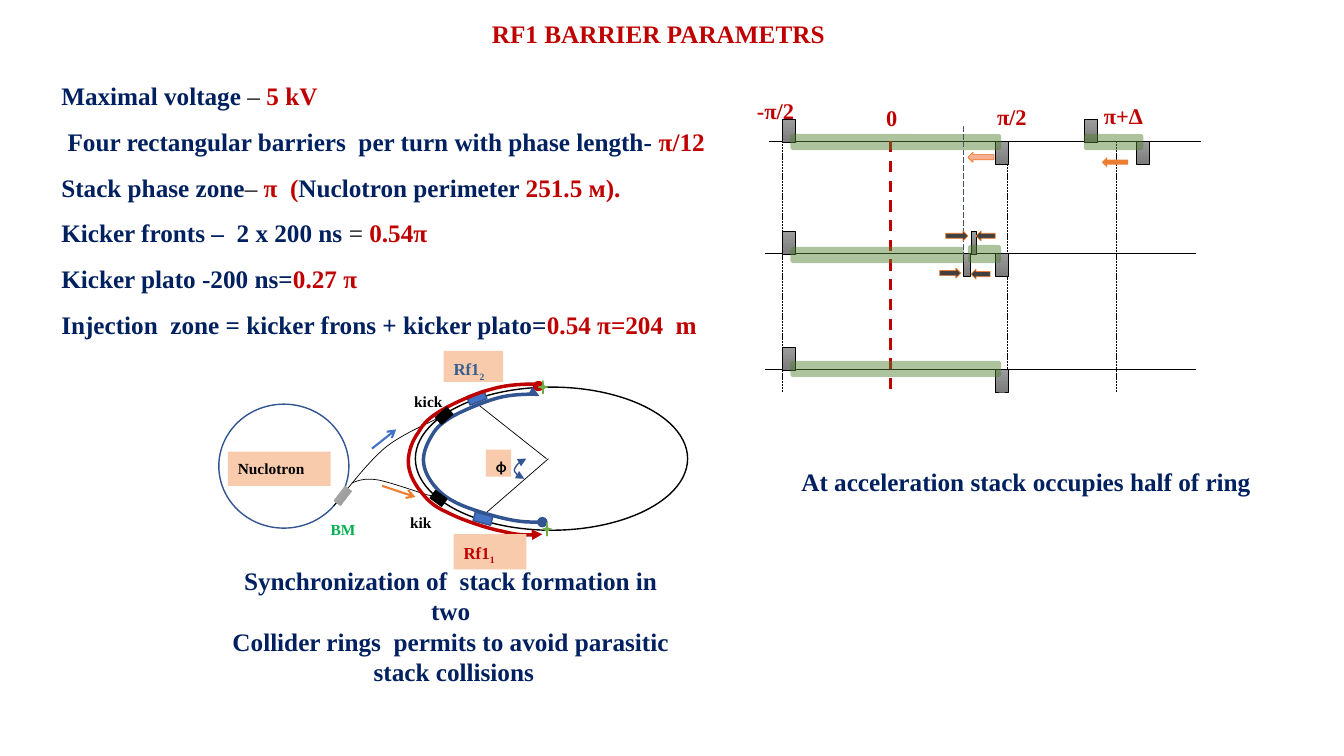
"""Build the RF1 barrier parameters slide with its phase diagram and ring scheme."""
from lxml.etree import SubElement
from pptx import Presentation
from pptx.dml.color import RGBColor
from pptx.enum.dml import MSO_LINE
from pptx.enum.shapes import MSO_CONNECTOR, MSO_SHAPE
from pptx.enum.text import MSO_ANCHOR, PP_ALIGN
from pptx.oxml.ns import qn
from pptx.util import Inches, Pt

RED = RGBColor(0xC0, 0x00, 0x00)
NAVY = RGBColor(0x00, 0x20, 0x60)
BLACK = RGBColor(0x00, 0x00, 0x00)
BLUE = RGBColor(0x44, 0x72, 0xC4)
DEEP_BLUE = RGBColor(0x32, 0x54, 0x91)
LABEL_BLUE = RGBColor(0x36, 0x5F, 0x91)
ORANGE = RGBColor(0xED, 0x7D, 0x31)
PEACH = RGBColor(0xF8, 0xCB, 0xAD)
DARK = RGBColor(0x40, 0x40, 0x40)
SLATE = RGBColor(0x44, 0x54, 0x6A)
MOSS = RGBColor(0x54, 0x82, 0x35)
GREEN = RGBColor(0x00, 0xB0, 0x50)
LEAF = RGBColor(0x70, 0xAD, 0x47)
SILVER = RGBColor(0xA5, 0xA5, 0xA5)
GRAY_FADE = (RGBColor(0x9D, 0x9D, 0x9D), RGBColor(0x7C, 0x7C, 0x7C))
SILVER_FADE = (RGBColor(0xAF, 0xAF, 0xAF), RGBColor(0x93, 0x93, 0x93))
PEACH_FADE = (RGBColor(0xF7, 0xBD, 0xA5), RGBColor(0xF8, 0xA5, 0x82))
LEAF_FADE = (RGBColor(0x81, 0xB8, 0x61), RGBColor(0x62, 0xA3, 0x36))
SERIF = "Times New Roman"

TITLE = [[("RF1 BARRIER PARAMETRS", RED)]]
PARAMETERS = [
    [("Maximal voltage ", NAVY), ("– ", BLACK), ("5 kV", RED)],
    [(" Four rectangular barriers  per turn with phase length- ", NAVY), ("π/12", RED)],
    [("Stack phase zone", NAVY), ("– ", BLACK), ("π  (", RED),
     ("Nuclotron perimeter ", NAVY), ("251.5 м).", RED)],
    [("Kicker fronts –  2 x 200 ns ", NAVY), ("= ", BLACK), ("0.54π", RED)],
    [("Kicker plato -200 ns=", NAVY), ("0.27 π", RED)],
    [("Injection  zone = kicker frons + kicker plato=", NAVY), ("0.54 π=204  m", RED)],
]
SYNCHRONIZATION = [
    [("Synchronization of  stack formation in two", NAVY)],
    [("Collider rings  permits to avoid parasitic  stack collisions", NAVY)],
]
ACCELERATION = [[("At acceleration stack occupies half of ring", NAVY)]]

AXES = [(7.63, 11.91, 1.4), (7.59, 11.86, 2.51), (7.59, 11.86, 3.66)]
PHASE_MARKS = [(8.83, RED, 2, MSO_LINE.DASH)] + [
    (x, BLACK, 0.5, MSO_LINE.SQUARE_DOT) for x in (9.99, 11.07, 7.76)]
PHASE_LABELS = [("0", 8.69, 0.94, 0.29), ("-π/2", 7.41, 0.87, 0.67),
                ("π/2", 9.79, 0.93, 0.58), ("π+Δ", 10.85, 0.92, 0.62)]
BARRIERS = [
    (0, 7.76, 0.13, "up"), (0, 9.87, 0.13, "down"),
    (0, 10.75, 0.13, "up"), (0, 11.27, 0.13, "down"),
    (1, 9.55, 0.07, "down"), (1, 7.76, 0.13, "up"),
    (1, 9.63, 0.05, "up"), (1, 9.87, 0.13, "down"),
    (2, 7.76, 0.13, "up"), (2, 9.87, 0.13, "down"),
]
BARRIER_HEIGHT = 0.23
STACKS = [(7.84, 1.33, 2.09, 0.16), (10.75, 1.33, 0.59, 0.16), (9.6, 2.43, 0.33, 0.18),
          (7.84, 2.45, 1.72, 0.16), (7.84, 3.58, 2.09, 0.16)]
SHIFT_ARROWS = [
    (MSO_SHAPE.LEFT_ARROW, 10.93, 1.56, 0.26, ORANGE, None),
    (MSO_SHAPE.LEFT_ARROW, 9.6, 1.51, 0.26, PEACH_FADE, ORANGE),
    (MSO_SHAPE.RIGHT_ARROW, 9.38, 2.29, 0.22, DARK, ORANGE),
    (MSO_SHAPE.RIGHT_ARROW, 9.32, 2.66, 0.21, DARK, ORANGE),
    (MSO_SHAPE.LEFT_ARROW, 9.68, 2.29, 0.19, DARK, ORANGE),
    (MSO_SHAPE.LEFT_ARROW, 9.63, 2.67, 0.19, DARK, ORANGE),
]

RINGS = [(2.17, 4.01, 1.29, 1.23, DEEP_BLUE), (4.12, 3.84, 2.7, 1.42, BLACK)]
CAVITIES = [(4.7, 5.1, 14.8), (4.64, 3.9, 339.3)]
CHANNELS = [
    [(3.31, 5.02), (3.48, 4.81), (3.64, 4.6), (3.81, 4.45), (3.98, 4.31), (4.23, 4.21),
     (4.32, 4.16), (4.41, 4.11), (4.36, 4.15), (4.37, 4.14), (4.39, 4.14), (4.39, 4.13),
     (4.4, 4.13)],
    [(3.49, 4.79), (3.55, 4.77), (3.61, 4.74), (3.74, 4.76), (3.86, 4.78), (4.14, 4.88),
     (4.24, 4.91), (4.34, 4.93), (4.32, 4.93), (4.31, 4.92)],
]
RING_LINES = [
    ((3.79, 4.82), (4.12, 4.93), ORANGE, 1.5, "arrow"),
    ((3.69, 4.45), (3.93, 4.26), BLUE, 1.5, "arrow"),
    ((5.44, 4.55), (4.83, 5.08), BLACK, 0.5, None),
    ((5.42, 4.55), (4.75, 4.02), BLACK, 0.5, None),
]
ANGLE_ARC = [(5.2, 4.75), (5.17, 4.74), (5.14, 4.73), (5.13, 4.71), (5.11, 4.69),
             (5.09, 4.67), (5.11, 4.64), (5.12, 4.61), (5.19, 4.56), (5.21, 4.55),
             (5.23, 4.53), (5.22, 4.54), (5.22, 4.55)]
INNER_STACK = [
    (5.38, 5.18), (5.28, 5.18), (5.17, 5.18), (5.03, 5.15), (4.89, 5.12), (4.65, 5.05),
    (4.53, 4.99), (4.41, 4.93), (4.36, 4.88), (4.3, 4.81), (4.24, 4.73), (4.2, 4.65),
    (4.2, 4.56), (4.2, 4.48), (4.24, 4.39), (4.29, 4.31), (4.33, 4.24), (4.39, 4.19),
    (4.49, 4.13), (4.6, 4.07), (4.79, 3.99), (4.93, 3.95), (5.07, 3.91), (5.27, 3.91),
    (5.34, 3.91), (5.4, 3.9), (5.38, 3.92), (5.35, 3.93)]
OUTER_STACK = [
    (5.38, 5.3), (5.26, 5.31), (5.14, 5.31), (4.98, 5.27), (4.82, 5.24), (4.56, 5.15),
    (4.43, 5.08), (4.29, 5.02), (4.23, 4.95), (4.16, 4.86), (4.1, 4.78), (4.05, 4.68),
    (4.05, 4.58), (4.05, 4.48), (4.09, 4.37), (4.15, 4.29), (4.2, 4.2), (4.26, 4.14),
    (4.38, 4.07), (4.5, 4), (4.72, 3.9), (4.88, 3.86), (5.04, 3.81), (5.25, 3.81),
    (5.33, 3.81), (5.41, 3.8), (5.37, 3.82), (5.34, 3.83)]
CURVES = [(points, BLACK, 0.5, None, None) for points in CHANNELS] + [
    (ANGLE_ARC, DEEP_BLUE, 1, "triangle", "triangle"),
    (INNER_STACK, DEEP_BLUE, 2.5, "oval", "triangle"),
    (OUTER_STACK, RED, 2.5, "triangle", "oval"),
]
RING_LABELS = [
    ("Rf1", "2", 4.4, 3.48, 0.59, 0.31, 12, LABEL_BLUE, SERIF, PEACH),
    ("Rf1", "1", 4.5, 5.3, 0.72, 0.35, 12, RED, SERIF, PEACH),
    ("ϕ", "", 4.82, 4.46, 0.25, 0.27, 11, BLACK, "Calibri", PEACH),
    ("Nuclotron", "", 2.26, 4.48, 1.02, 0.34, 11, BLACK, SERIF, PEACH),
    ("ВМ", "", 3.18, 5.08, 0.46, 0.32, 11, GREEN, SERIF, None),
    ("kick", "", 4.01, 3.81, 0.56, 0.32, 11, BLACK, SERIF, None),
    ("kik", "", 3.97, 5.01, 0.53, 0.32, 11, BLACK, SERIF, None),
]
STARS = [(5.38, 5.18), (5.34, 3.77)]
MAGNETS = [(3.31, 4.88, 0.18, 0.08, 307.5, SILVER_FADE, SILVER, 0.5),
           (4.33, 4.08, 0.15, 0.09, 318.4, BLACK, BLACK, 1),
           (4.28, 4.9, 0.14, 0.09, 36.3, BLACK, BLACK, 1)]


def set_line(line, color, width, dash=None, head=None, tail=None):
    line.color.rgb = color
    for name, value in {"width": Pt(width), "dash_style": dash}.items():
        setattr(line, name, value)
    for tag, end in (("a:headEnd", head), ("a:tailEnd", tail)):
        if end:
            SubElement(line._get_or_add_ln(), qn(tag)).set("type", end)


def add_form(page, kind, place, fill=None, color=None, width=0.5, turn=0):
    form = page.shapes.add_shape(kind, *map(Inches, place))
    form.shadow.inherit = False
    form.rotation = turn
    if isinstance(fill, tuple) and not isinstance(fill, RGBColor):
        form.fill.gradient()
        form.fill.gradient_angle = 270
        for stop, shade in zip(form.fill.gradient_stops, fill):
            stop.color.rgb = shade
    elif fill is not None:
        form.fill.solid()
        form.fill.fore_color.rgb = fill
    else:
        form.fill.background()
    if color is None:
        form.line.fill.background()
    else:
        set_line(form.line, color, width)
    return form


def add_line(page, start, end, *look, **ends):
    line = page.shapes.add_connector(MSO_CONNECTOR.STRAIGHT, *map(Inches, start + end))
    SubElement(line._element.spPr, qn("a:effectLst"))
    set_line(line.line, *look, **ends)


def add_curve(page, points, color, width, head, tail):
    """Draw the points as chained cubic curves."""
    builder = page.shapes.build_freeform(*map(Inches, points[0]), scale=1.0)
    builder.add_line_segments([tuple(map(Inches, point)) for point in points[1:]], close=False)
    curve = builder.convert_to_shape()
    curve.shadow.inherit = False
    curve.fill.background()
    set_line(curve.line, color, width, head=head, tail=tail)
    steps = list(curve._element.iter(qn("a:lnTo")))
    for first in range(0, len(steps), 3):
        bend = SubElement(steps[0].getparent(), qn("a:cubicBezTo")) if first == 0 else \
            SubElement(bend.getparent(), qn("a:cubicBezTo"))
        for step in steps[first:first + 3]:
            bend.append(step[0])
            step.getparent().remove(step)


def write(box, paragraphs, size=18, font=SERIF, wrap=True, indent=0, **spacing):
    frame = box.text_frame
    frame.word_wrap = wrap
    frame.vertical_anchor = MSO_ANCHOR.TOP
    for index, pieces in enumerate(paragraphs):
        para = frame.paragraphs[0] if index == 0 else frame.add_paragraph()
        for name, value in ({"alignment": PP_ALIGN.LEFT} | spacing).items():
            if index or name != "space_before":
                setattr(para, name, value)
        if indent:
            para._p.get_or_add_pPr().set("marL", str(Inches(indent)))
            para._p.get_or_add_pPr().set("indent", str(-Inches(indent)))
        for text, color in pieces:
            span = para.add_run()
            span.text = text
            bold = text not in ("– ", "= ")
            for name, value in {"size": Pt(size), "name": font, "bold": bold}.items():
                setattr(span.font, name, value)
            span.font.color.rgb = color


def add_text(page, place, paragraphs, **look):
    write(page.shapes.add_textbox(*map(Inches, place)), paragraphs, **look)


def draw_phases(page):
    for left, right, y in AXES:
        add_line(page, (left, y), (right, y), BLACK, 0.5)
    for x, *look in PHASE_MARKS:
        add_line(page, (x, 1.4), (x, 3.89), *look)
    for text, x, y, width in PHASE_LABELS:
        add_text(page, (x, y, width, 0.35), [[(text, RED)]], size=16, line_spacing=1.15)
    for row, x, width, side in BARRIERS:
        top = AXES[row][2] - (0.22 if side == "up" else 0)
        add_form(page, MSO_SHAPE.RECTANGLE, (x, top, width, BARRIER_HEIGHT), GRAY_FADE, BLACK, 0.25)
    for place in STACKS:
        stack = add_form(page, MSO_SHAPE.ROUNDED_RECTANGLE, place, MOSS)
        tint = next(stack._element.spPr.iter(qn("a:srgbClr")))
        SubElement(tint, qn("a:alpha")).set("val", "48000")
    add_line(page, (9.55, 1.25), (9.55, 2.53), SLATE, 0.5, MSO_LINE.LONG_DASH)
    for kind, x, y, width, fill, color in SHIFT_ARROWS:
        add_form(page, kind, (x, y, width, 0.1), fill, color)


def draw_rings(page):
    for *place, color in RINGS:
        add_form(page, MSO_SHAPE.OVAL, place, None, color, 1)
    for x, y, turn in CAVITIES:
        add_form(page, MSO_SHAPE.RECTANGLE, (x, y, 0.18, 0.09), BLUE, DEEP_BLUE, 1, turn)
    for start, end, color, width, tail in RING_LINES:
        add_line(page, start, end, color, width, tail=tail)
    for curve in CURVES:
        add_curve(page, *curve)
    for x, y in STARS:
        add_form(page, MSO_SHAPE.STAR_4_POINT, (x, y, 0.09, 0.14), LEAF_FADE, LEAF)
    for *place, turn, fill, color, width in MAGNETS:
        add_form(page, MSO_SHAPE.RECTANGLE, place, fill, color, width, turn)
    for text, index, x, y, width, height, size, color, font, fill in RING_LABELS:
        place = (x, y, width, height)
        pieces = [(part, color) for part in (text, index) if part]
        box = (add_form(page, MSO_SHAPE.RECTANGLE, place, fill) if fill is not None
               else page.shapes.add_textbox(*map(Inches, place)))
        write(box, [pieces], size, font, line_spacing=1.15)
        if index:
            box.text_frame.paragraphs[0].runs[1].font._element.set("baseline", "-25000")


def main():
    deck = Presentation()
    deck.slide_width, deck.slide_height = Inches(13.33), Inches(7.5)
    page = deck.slides.add_slide(deck.slide_layouts[6])
    add_text(page, (4.76, 0.17, 3.54, 0.37), TITLE, wrap=False,
             alignment=PP_ALIGN.CENTER, line_spacing=0.9)
    add_text(page, (0.51, 0.78, 6.67, 2.65), PARAMETERS, indent=0.33,
             line_spacing=0.9, space_before=Pt(13.3))
    draw_phases(page)
    draw_rings(page)
    add_text(page, (2.18, 5.56, 4.58, 1.64), SYNCHRONIZATION, alignment=PP_ALIGN.CENTER)
    add_text(page, (7.85, 4.58, 4.7, 0.4), ACCELERATION, wrap=False)
    deck.save("out.pptx")


if __name__ == "__main__":
    main()
